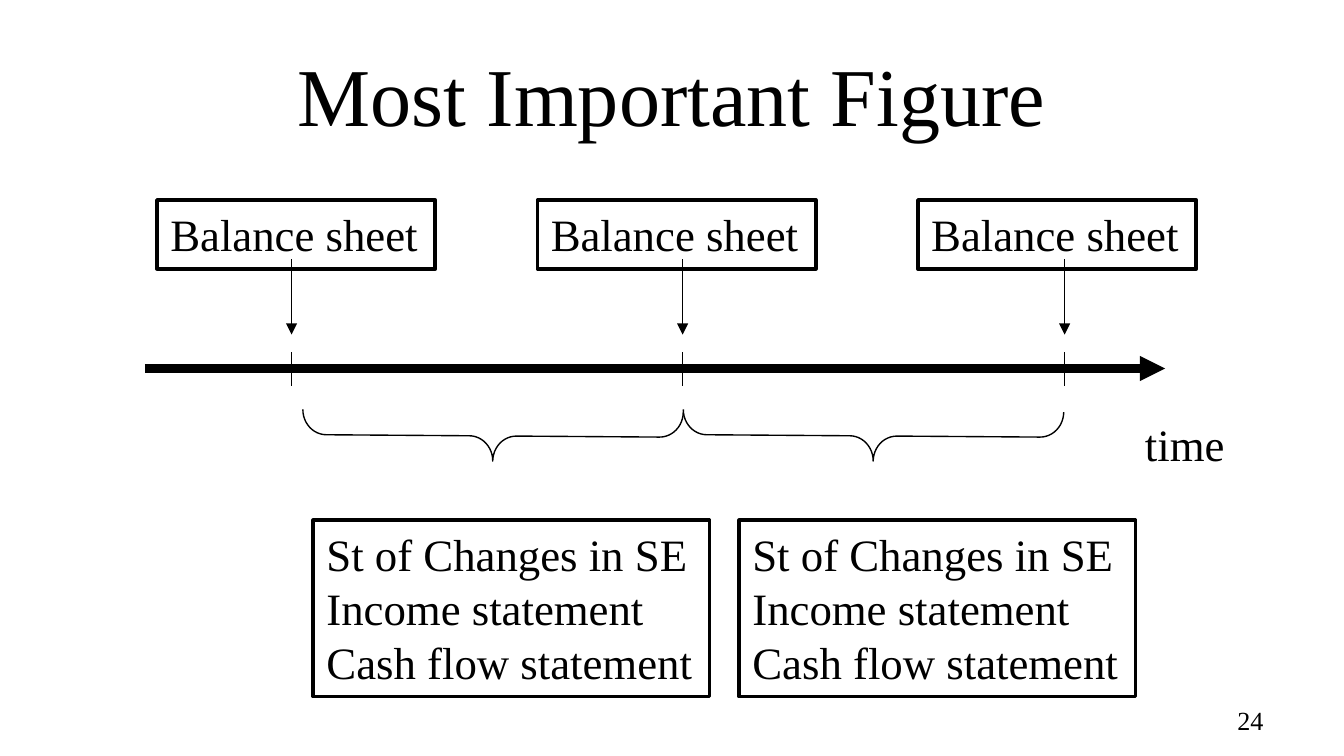
from lxml.etree import SubElement as Sub
from pptx import Presentation
from pptx.dml.color import RGBColor
from pptx.enum.shapes import MSO_CONNECTOR as Link, MSO_SHAPE as Shape
from pptx.enum.text import MSO_ANCHOR as Anchor, MSO_AUTO_SIZE as Fit, PP_ALIGN as Align
from pptx.oxml.ns import qn
from pptx.util import Cm, Pt

BLACK = RGBColor(0, 0, 0)
FONT = "Times New Roman"
STEP = 7.19
TICKS = (5.51, 12.9, 20.12)
FLOWS = "St of Changes in SE\nIncome statement\nCash flow statement"


def write(frame, text, size, align=Align.LEFT, anchor=Anchor.TOP):
    frame.text = text
    frame.vertical_anchor = anchor
    for par in frame.paragraphs:
        par.alignment = align
        for run in par.runs:
            run.font.name = FONT
            run.font.size = Pt(size)
            run.font.color.rgb = BLACK


def put(item, left, top, width, height):
    item.left, item.top = Cm(left), Cm(top)
    item.width, item.height = Cm(width), Cm(height)


def add_title(slide, text):
    title = slide.shapes.title
    put(title, 1.27, 0.58, 22.86, 2.39)
    write(title.text_frame, text, 44, Align.CENTER, Anchor.MIDDLE)


def add_label(slide, text, area, size, align=Align.LEFT, anchor=Anchor.TOP):
    label = slide.shapes.add_textbox(*map(Cm, area))
    label.text_frame.word_wrap = True
    write(label.text_frame, text, size, align, anchor)


def add_form(slide, kind, area, weight):
    form = slide.shapes.add_shape(kind, *map(Cm, area))
    form.shadow.inherit = False
    form.fill.background()
    form.line.color.rgb = BLACK
    form.line.width = Pt(weight)
    return form


def add_box(slide, text, area):
    frame = add_form(slide, Shape.RECTANGLE, area, 2).text_frame
    frame.word_wrap = False
    frame.auto_size = Fit.SHAPE_TO_FIT_TEXT
    write(frame, text, 24)


def add_brace(slide, left):
    brace = add_form(slide, Shape.RIGHT_BRACE, (left, 4.64, 0.95, STEP), 0.75)
    brace.rotation = 90.4
    brace.adjustments[0] = 0.47
    brace.adjustments[1] = 0.5


def add_line(slide, start, end, weight=0.75, arrow=False):
    line = slide.shapes.add_connector(Link.STRAIGHT, *map(Cm, start + end))
    line.line.color.rgb = BLACK
    line.line.width = Pt(weight)
    if arrow:
        Sub(line.line._get_or_add_ln(), qn("a:tailEnd"), type="triangle")
    Sub(line._element.spPr, qn("a:effectLst"))


def main():
    deck = Presentation()
    deck.slide_width, deck.slide_height = Cm(25.4), Cm(14.28)
    slide = deck.slides.add_slide(deck.slide_layouts[5])
    add_title(slide, "Most Important Figure")
    add_label(slide, "24", (18.21, 13.23, 5.92, 0.76), 14, Align.RIGHT, Anchor.MIDDLE)
    add_label(slide, "time", (21.39, 7.75, 2.9, 1.3), 24)
    add_line(slide, (2.74, 6.96), (22.02, 6.96), 4.5, True)
    for i, x in enumerate(TICKS):
        add_line(slide, (x, 6.65), (x, 7.29))
        add_box(slide, "Balance sheet", (2.97 + i * STEP, 3.78, 5.26, 1.3))
        add_line(slide, (x, 4.9), (x, 6.32), arrow=True)
    for i, left in enumerate((5.92, 13.97)):
        add_brace(slide, 8.84 + i * STEP)
        add_box(slide, FLOWS, (left, 9.83, 7.49, 3.33))
    deck.save("out.pptx")


if __name__ == "__main__":
    main()
